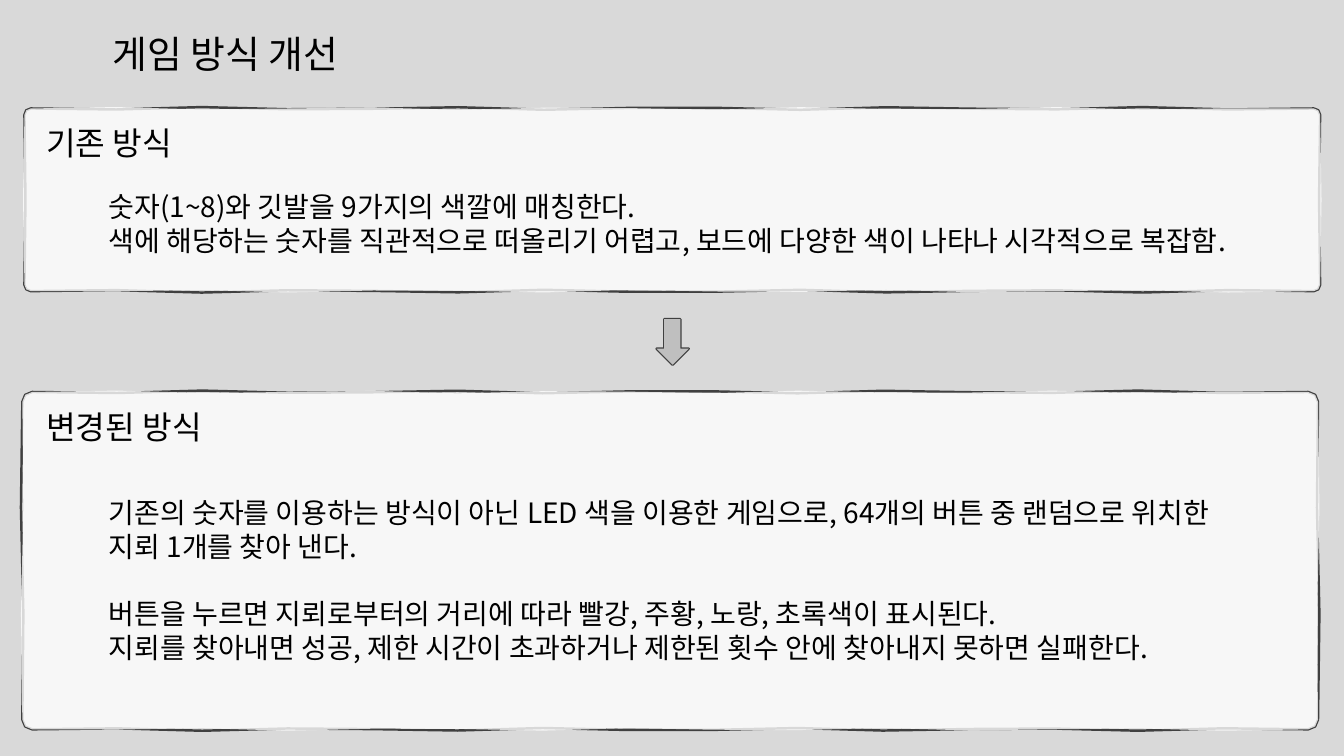
from copy import deepcopy
from math import cos, hypot, radians, sin

from lxml import etree
from pptx import Presentation
from pptx.dml.color import RGBColor
from pptx.enum.text import MSO_AUTO_SIZE
from pptx.oxml.ns import qn
from pptx.util import Pt

GROW = MSO_AUTO_SIZE.SHAPE_TO_FIT_TEXT
FONT = "Noto Sans CJK KR"
COLORS = {"background": "D9D9D9", "panel": "FFFFFF", "arrow": "BFBFBF",
          "line": "404040", "text": "000000"}
COLORS = {name: RGBColor.from_string(value) for name, value in COLORS.items()}

prs = Presentation()
prs.slide_width, prs.slide_height = Pt(960), Pt(540)
s = prs.slides.add_slide(prs.slide_layouts[6])
s.background.fill.solid()
s.background.fill.fore_color.rgb = COLORS["background"]


def add_text(lines, left, top, width, height, size, gaps=()):
    tf = s.shapes.add_textbox(Pt(left), Pt(top), Pt(width), Pt(height)).text_frame
    tf.word_wrap = True
    tf.auto_size = GROW
    for i, line in enumerate(lines):
        p = tf.paragraphs[0] if i == 0 else tf.add_paragraph()
        if i in gaps:
            p.space_before = Pt(size * 1.2)
        r = p.add_run()
        r.text = line
        r.font.size = Pt(size)
        r.font.name = FONT
        r.font.color.rgb = COLORS["text"]
        etree.SubElement(r.font._element, qn("a:ea"), typeface=FONT)


def add_sketch(corners, fill, opacity=100):
    """Hand-drawn outline: a stroked contour under a separately wobbling fill."""
    contours = []
    for phase in (0, 2.5):
        points = []
        for (x0, y0), (x1, y1) in zip(corners, corners[1:] + corners[:1]):
            length = hypot(x1 - x0, y1 - y0)
            steps = max(1, int(length / 60))
            for i in range(steps):
                t = i / steps
                d = sin(2.3 * i + phase) if i else 0
                points.append((Pt(x0 + (x1 - x0) * t - (y1 - y0) / length * d),
                               Pt(y0 + (y1 - y0) * t + (x1 - x0) / length * d)))
        contours.append(points)
    stroke, body = contours
    builder = s.shapes.build_freeform(*stroke[0])
    builder.add_line_segments(stroke[1:], close=True)
    builder.move_to(*body[0])
    builder.add_line_segments(body[1:], close=True)
    sp = builder.convert_to_shape()
    sp.shadow.inherit = False
    sp.fill.solid()
    sp.fill.fore_color.rgb = COLORS[fill]
    sp.line.color.rgb = COLORS["line"]
    sp.line.width = Pt(1.75)

    # Split the two contours: the first is only stroked, the second only filled
    outline = sp._element.find(".//" + qn("a:path"))
    inside = deepcopy(outline)
    outline.addnext(inside)
    half = len(outline) // 2
    for node in list(outline)[half:]:
        outline.remove(node)
    for node in list(inside)[:half]:
        inside.remove(node)
    outline.set("fill", "none")
    inside.set("stroke", "0")
    if opacity < 100:
        color = sp._element.spPr.find(qn("a:solidFill"))[0]
        etree.SubElement(color, qn("a:alpha"), val=str(opacity * 1000))


# Panels: left, top, width, height, corner radius
for left, top, width, height, radius in [(16, 280, 925.5, 241, 7),
                                         (17.5, 77.5, 925.5, 130.5, 4.5)]:
    near_x, far_x = left + radius, left + width - radius
    near_y, far_y = top + radius, top + height - radius
    centers = [(near_x, near_y), (far_x, near_y), (far_x, far_y), (near_x, far_y)]
    corners = [(x + radius * cos(radians(180 + 90 * q + a)),
                y + radius * sin(radians(180 + 90 * q + a)))
               for q, (x, y) in enumerate(centers) for a in (0, 45, 90)]
    add_sketch(corners, "panel", opacity=80)

# Title and panel headings
add_text(["게임 방식 개선"], 73.5, 18.5, 324, 40.5, 27)
add_text(["기존 방식"], 26, 84.5, 152, 35, 23)
add_text(["변경된 방식"], 26, 287.5, 143.5, 35, 23)

# Panel texts
add_text(["기존의 숫자를 이용하는 방식이 아닌 LED 색을 이용한 게임으로, 64개의 버튼 중 랜덤으로 위치한 지뢰 1개를 찾아 낸다.",
          "버튼을 누르면 지뢰로부터의 거리에 따라 빨강, 주황, 노랑, 초록색이 표시된다.",
          "지뢰를 찾아내면 성공, 제한 시간이 초과하거나 제한된 횟수 안에 찾아내지 못하면 실패한다."],
         70.5, 350.5, 822, 128, 20, gaps=(1,))
add_text(["숫자(1~8)와 깃발을 9가지의 색깔에 매칭한다.",
          "색에 해당하는 숫자를 직관적으로 떠올리기 어렵고, 보드에 다양한 색이 나타나 시각적으로 복잡함."],
         70.5, 132, 830, 55.5, 20)

# Down arrow
add_sketch([(469, 249), (474.5, 249), (474.5, 228), (486, 228),
            (486, 249), (492, 249), (480.5, 260.5)], "arrow")

prs.save("out.pptx")
